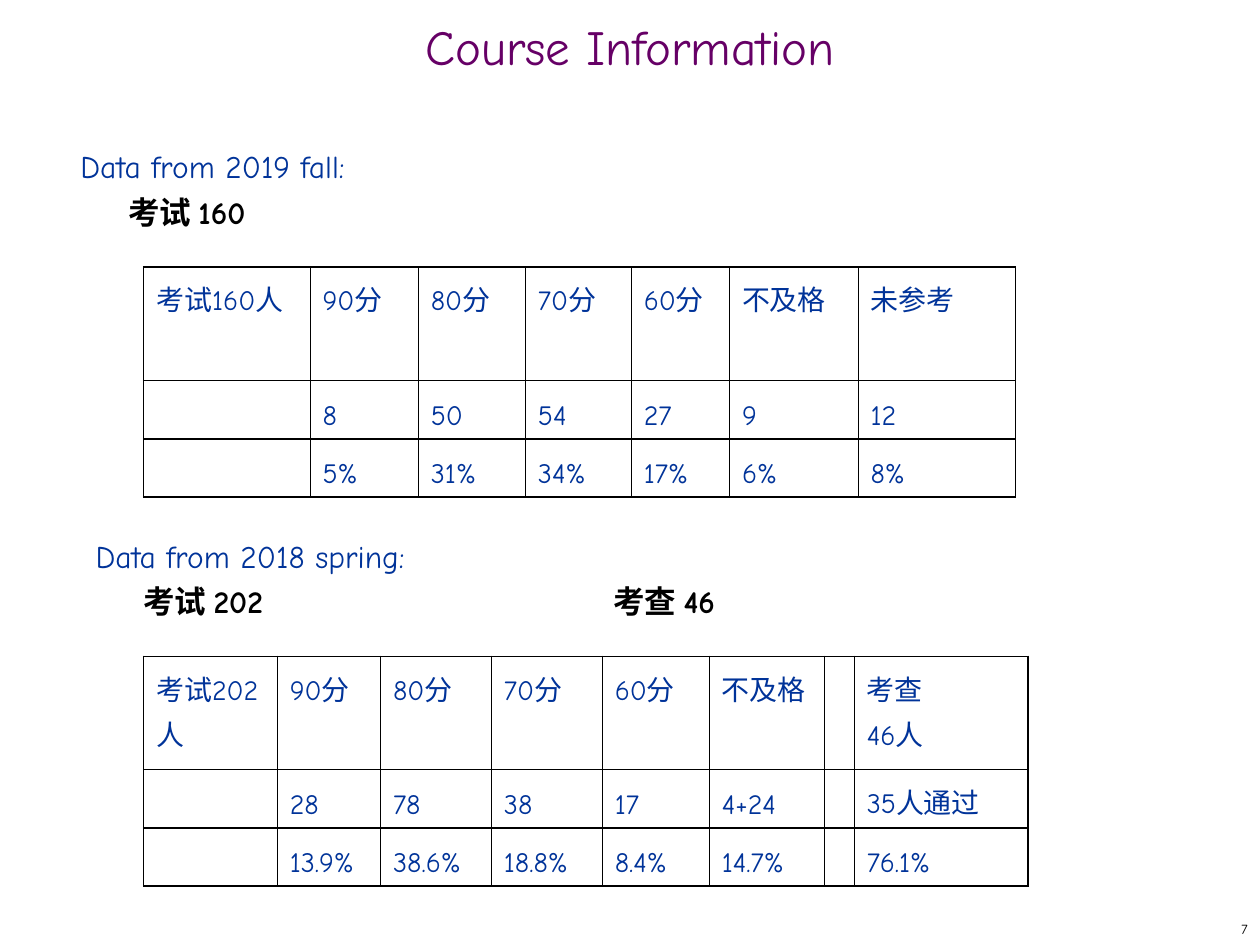
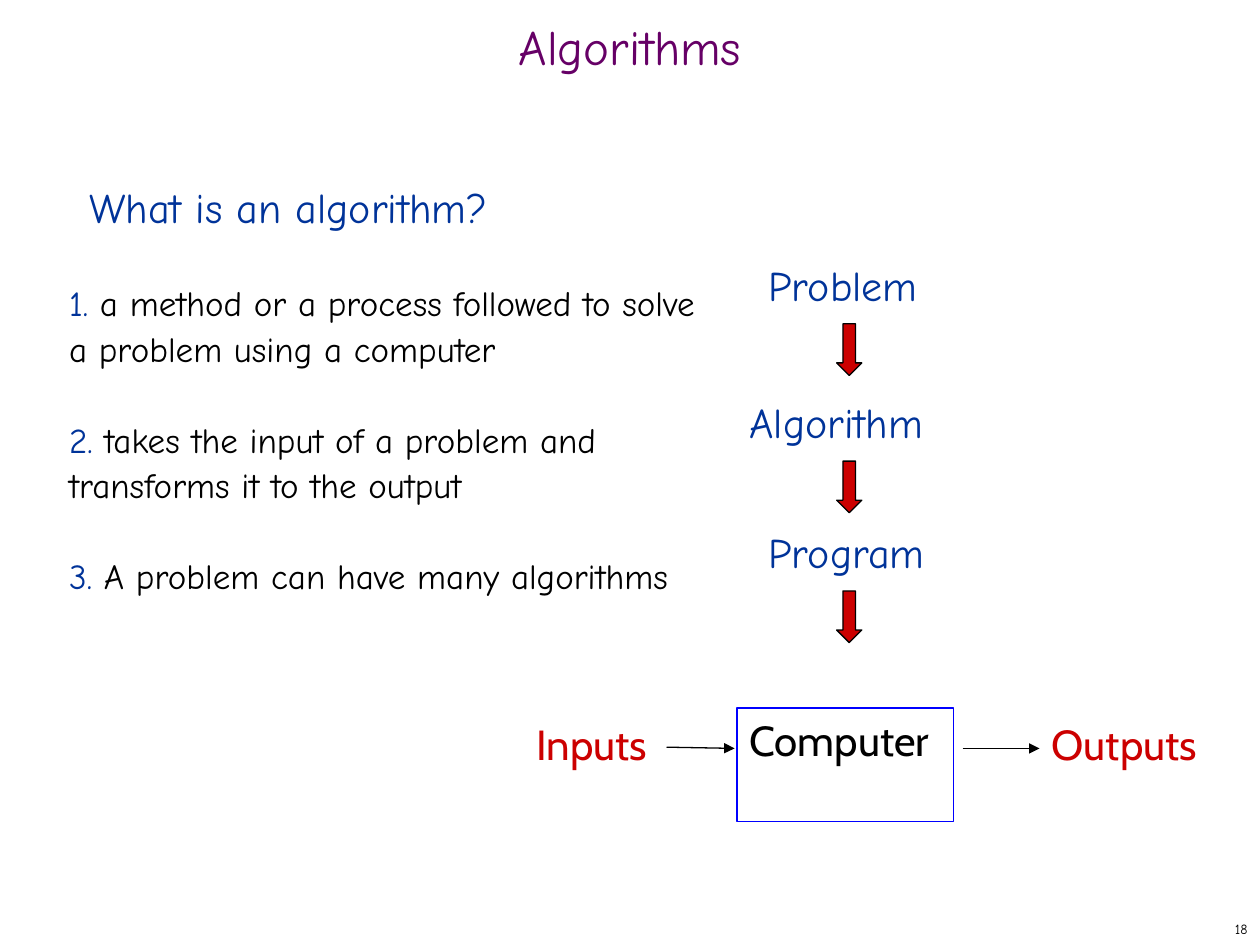
from lxml import etree
from pptx import Presentation
from pptx.dml.color import RGBColor
from pptx.enum.shapes import MSO_CONNECTOR, MSO_SHAPE
from pptx.enum.text import MSO_ANCHOR, PP_ALIGN
from pptx.oxml.ns import qn
from pptx.util import Inches, Pt

LEFT, CENTER, RIGHT = PP_ALIGN.LEFT, PP_ALIGN.CENTER, PP_ALIGN.RIGHT
TOP, MIDDLE = MSO_ANCHOR.TOP, MSO_ANCHOR.MIDDLE
RECTANGLE, DOWN_ARROW = MSO_SHAPE.RECTANGLE, MSO_SHAPE.DOWN_ARROW
STRAIGHT = MSO_CONNECTOR.STRAIGHT

COLORS = {"title": "660066", "body": "003399", "ink": "000000",
          "accent": "CC0000", "frame": "0000FF"}
HAND, SANS = "Comic Neue", "Cabin"
COLUMNS, ROWS = 100, 75
WIDTH, HEIGHT = Inches(10), Inches(7.5)
BODY_LEADING = Pt(26)
HEAVY, THIN = Pt(1.08), Pt(0.45)


def color(name):
    return RGBColor.from_string(COLORS[name])


def across(columns):
    return round(WIDTH * columns / COLUMNS)


def down(rows):
    return round(HEIGHT * rows / ROWS)


def place(left, top, width, height):
    return across(left), down(top), across(width), down(height)


class Deck:
    """Holds the shared style and the slide being filled."""

    def __init__(self):
        self.file = Presentation()
        self.file.slide_width, self.file.slide_height = WIDTH, HEIGHT
        self.slide = None

    def start_slide(self, title, number):
        self.slide = self.file.slides.add_slide(self.file.slide_layouts[6])
        self.text((79.2, 72.5, 20.8, 2.5), number, 8, "ink",
                  align=RIGHT, anchor=MIDDLE)
        self.text((0, 1.7, 100, 5), title, 28, "title",
                  align=CENTER, anchor=MIDDLE, leading=0.7)

    def style(self, run, size, ink, font=HAND, bold=False):
        run.font.size, run.font.name, run.font.bold = Pt(size), font, bold
        run.font.color.rgb = color(ink)

    def fill_paragraph(self, paragraph, content, size, ink, font=HAND,
                       align=LEFT, leading=None):
        paragraph.text = content
        paragraph.alignment = align
        paragraph.line_spacing = leading
        for run in paragraph.runs:
            self.style(run, size, ink, font)

    def frame(self, box, anchor=TOP):
        frame = self.slide.shapes.add_textbox(*place(*box)).text_frame
        frame.word_wrap = True
        frame.vertical_anchor = anchor
        return frame

    def text(self, box, content, size, ink, anchor=TOP, **look):
        frame = self.frame(box, anchor)
        self.fill_paragraph(frame.paragraphs[0], content, size, ink, **look)

    def caption(self, left, top, term, counts):
        """Term line, then bold counts set on tab stops below it."""
        frame = self.frame((left, top, 82.2, 9.5))
        self.fill_paragraph(frame.paragraphs[0], term, 18, "body",
                            leading=BODY_LEADING)
        line = frame.add_paragraph()
        stops = etree.SubElement(line._p.get_or_add_pPr(), qn("a:tabLst"))
        for stop in (3.8, 41.1):
            etree.SubElement(stops, qn("a:tab"), pos=str(across(stop)), algn="l")
        line.text = "".join("\t" + count for count in counts)
        line.line_spacing = BODY_LEADING
        for run in line.runs:
            self.style(run, 18, "ink", bold=True)

    def numbered(self, box, points):
        frame = self.frame(box)
        for number, point in enumerate(points, 1):
            paragraph = frame.paragraphs[0]
            if number > 1:
                paragraph = frame.add_paragraph()
                paragraph.space_before = BODY_LEADING
            paragraph.line_spacing = BODY_LEADING
            for words, ink in ((f"{number}.", "body"), (f" {point}", "ink")):
                run = paragraph.add_run()
                run.text = words
                self.style(run, 20, ink)

    def table(self, left, top, widths, heights, grid):
        area = place(left, top, sum(widths), sum(heights))
        table = self.slide.shapes.add_table(len(grid), len(widths), *area).table
        table.first_row = table.horz_banding = False
        for column, width in zip(table.columns, widths):
            column.width = across(width)
        for row, height in zip(table.rows, heights):
            row.height = down(height)
        for r, entries in enumerate(grid):
            for c, entry in enumerate(entries):
                cell = table.cell(r, c)
                cell.fill.background()
                cell.margin_left = cell.margin_right = Inches(0.1)
                cell.margin_top = cell.margin_bottom = Inches(0.05)
                lines = entry.split("\n")
                cell.text_frame.text = entry
                for paragraph, line in zip(cell.text_frame.paragraphs, lines):
                    self.fill_paragraph(paragraph, line, 16, "body",
                                        leading=BODY_LEADING)
                self.borders(cell, r, c, len(widths))

    def borders(self, cell, r, c, column_count):
        """Only the rule under the header and the inner verticals are thin."""
        heavy = {"lnL": c == 0, "lnR": c == column_count - 1,
                 "lnT": r != 1, "lnB": r != 0}
        properties = cell._tc.get_or_add_tcPr()
        for position, (side, is_heavy) in enumerate(heavy.items()):
            edge = etree.Element(qn(f"a:{side}"), w=str(HEAVY if is_heavy else THIN))
            fill = etree.SubElement(edge, qn("a:solidFill"))
            etree.SubElement(fill, qn("a:srgbClr"), val=COLORS["ink"])
            properties.insert(position, edge)

    def shape(self, kind, box, line, fill=None):
        shape = self.slide.shapes.add_shape(kind, *place(*box))
        shape.shadow.inherit = False
        shape.line.color.rgb = color(line)
        shape.line.width = Pt(0.75)
        if fill:
            shape.fill.solid()
            shape.fill.fore_color.rgb = color(fill)
        else:
            shape.fill.background()
        return shape

    def labelled_box(self, box, label):
        frame = self.shape(RECTANGLE, box, "frame").text_frame
        frame.word_wrap = True
        frame.vertical_anchor = TOP
        self.fill_paragraph(frame.paragraphs[0], label, 24, "ink", font=SANS)

    def arrow(self, start, end):
        arrow = self.slide.shapes.add_connector(
            STRAIGHT, across(start[0]), down(start[1]), across(end[0]), down(end[1]))
        arrow.line.color.rgb = color("ink")
        arrow.line.width = Pt(0.75)
        etree.SubElement(arrow.line._get_or_add_ln(), qn("a:tailEnd"), type="triangle")
        etree.SubElement(arrow._element.spPr, qn("a:effectLst"))


def course_information(deck):
    deck.start_slide("Course Information", "7")
    terms = [
        (5.4, 10.6, "Data from 2019 fall:", ["考试 160"],
         [13.2, 8.6, 8.5, 8.4, 7.8, 10.2, 12.5],
         [["考试160人", "90分", "80分", "70分", "60分", "不及格", "未参考"],
          ["", "8", "50", "54", "27", "9", "12"],
          ["", "5%", "31%", "34%", "17%", "6%", "8%"]]),
        (6.6, 41.5, "Data from 2018 spring:", ["考试 202", "考查 46"],
         [10.6, 8.2, 8.8, 8.8, 8.5, 9.1, 2.4, 13.8],
         [["考试202人", "90分", "80分", "70分", "60分", "不及格", "", "考查\n46人"],
          ["", "28", "78", "38", "17", "4+24", "", "35人通过"],
          ["", "13.9%", "38.6%", "18.8%", "8.4%", "14.7%", "", "76.1%"]]),
    ]
    for left, top, term, counts, widths, grid in terms:
        deck.caption(left, top, term, counts)
        deck.table(11.4, top + 10.6, widths, [9, 4.6, 4.6], grid)


def algorithms(deck):
    deck.start_slide("Algorithms", "18")
    deck.text((6.1, 13.9, 64.4, 5), "What is an algorithm?", 24, "body")
    deck.numbered((4.5, 21.6, 52.7, 36.1), [
        "a method or a process followed to solve a problem using a computer",
        "takes the input of a problem and transforms it to the output",
        "A problem can have many algorithms",
    ])
    stages = [("Problem", 60, 20.1), ("Algorithm", 58.5, 31), ("Program", 60, 41.3)]
    for stage, left, top in stages:
        deck.text((left, top, 17.8, 5), stage, 24, "body")
        deck.shape(DOWN_ARROW, (66.4, top + 5.6, 2, 4.1), "ink", "accent")
    deck.labelled_box((58.5, 56.2, 17.2, 9), "Computer")
    for label, left, width in (("Inputs", 41.6, 11.6), ("Outputs", 82.5, 14.3)):
        deck.text((left, 56.5, width, 9), label, 24, "accent", font=SANS)
    deck.arrow((52.9, 59.3), (58.3, 59.4))
    deck.arrow((76.4, 59.4), (82.5, 59.4))


def main():
    deck = Deck()
    course_information(deck)
    algorithms(deck)
    deck.file.save("out.pptx")


if __name__ == "__main__":
    main()
